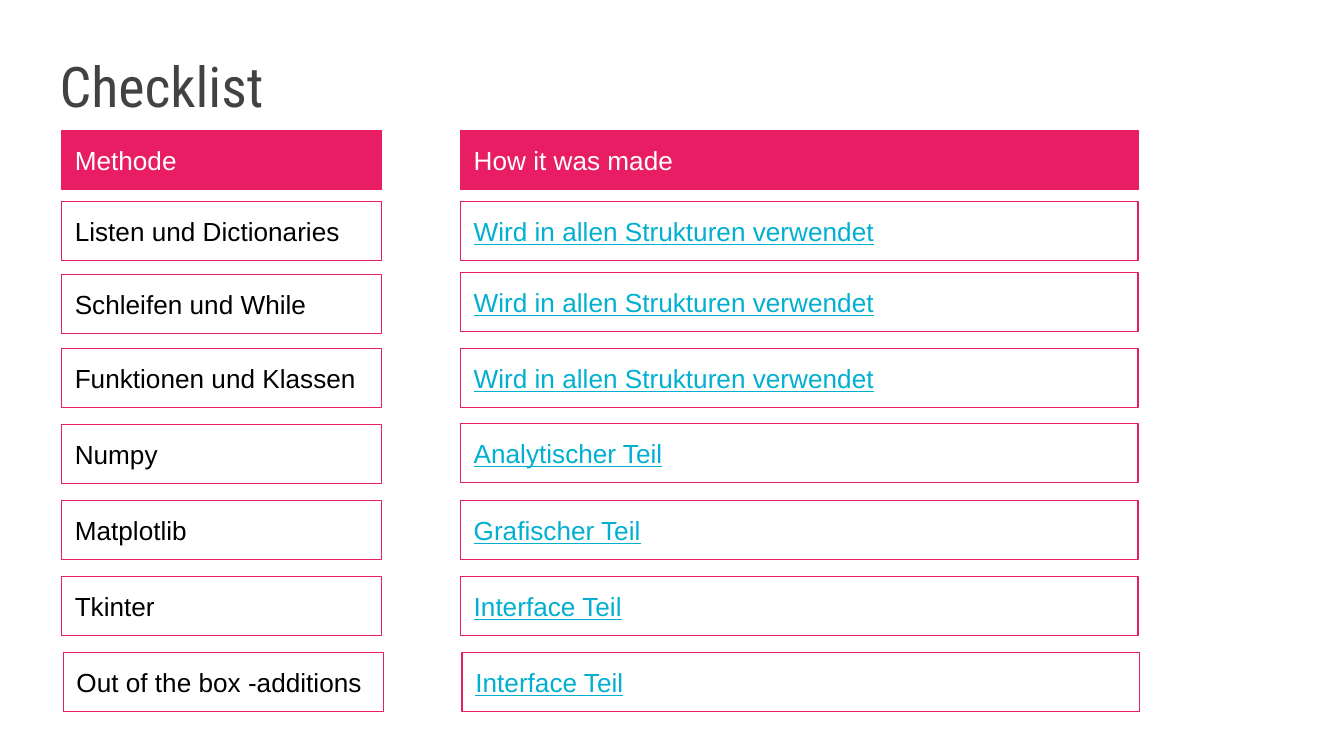
from dataclasses import dataclass

from pptx import Presentation
from pptx.dml.color import RGBColor
from pptx.enum.shapes import MSO_SHAPE
from pptx.enum.text import MSO_ANCHOR, MSO_AUTO_SIZE, PP_ALIGN
from pptx.util import Pt

RECT = MSO_SHAPE.RECTANGLE
MIDDLE, BOTTOM = MSO_ANCHOR.MIDDLE, MSO_ANCHOR.BOTTOM
LEFT = PP_ALIGN.LEFT
NO_FIT = MSO_AUTO_SIZE.NONE

PINK, WHITE, BLACK = "E91D63", "FFFFFF", "000000"
GREY, LINK = "424242", "01AFD1"
BOX_H = 31.7
INSET = 7.2


@dataclass
class Column:
    left: float
    width: float


@dataclass
class Row:
    method: str
    made: str
    top: float
    made_top: float
    shift: float = 0


METHOD = Column(33, 171.5)
MADE = Column(246.7, 363)
HEADER = Row("Methode", "How it was made", 69.9, 69.9)
EVERYWHERE = "Wird in allen Strukturen verwendet"
ROWS = [
    Row("Listen und Dictionaries", EVERYWHERE, 108, 108),
    Row("Schleifen und While", EVERYWHERE, 147, 146),
    Row("Funktionen und Klassen", EVERYWHERE, 186.7, 186.7),
    Row("Numpy", "Analytischer Teil", 227.4, 226.9),
    Row("Matplotlib", "Grafischer Teil", 268.1, 268.1),
    Row("Tkinter", "Interface Teil", 308.8, 308.8),
    Row("Out of the box -additions", "Interface Teil", 349.5, 349.5, 0.9),
]


def rgb(color: str) -> RGBColor:
    return RGBColor.from_string(color)


def write(sp, text: str, font: str, size: float, color: str, anchor,
          underline: bool = False) -> None:
    tf = sp.text_frame
    tf.word_wrap = True
    tf.auto_size = NO_FIT
    tf.vertical_anchor = anchor
    tf.margin_left = tf.margin_right = Pt(INSET)
    tf.margin_top = tf.margin_bottom = Pt(INSET)
    p = tf.paragraphs[0]
    p.alignment = LEFT
    r = p.add_run()
    r.text = text
    r.font.name = font
    r.font.size = Pt(size)
    r.font.color.rgb = rgb(color)
    if underline:
        r.font.underline = True


def add_box(s, col: Column, top: float, text: str, fill: str, color: str,
            shift: float = 0, underline: bool = False) -> None:
    sp = s.shapes.add_shape(RECT, Pt(col.left + shift), Pt(top),
                            Pt(col.width), Pt(BOX_H))
    sp.shadow.inherit = False
    sp.fill.solid()
    sp.fill.fore_color.rgb = rgb(fill)
    sp.line.color.rgb = rgb(PINK)
    sp.line.width = Pt(0.75)
    write(sp, text, "Arial", 14, color, MIDDLE, underline)


def main() -> None:
    prs = Presentation()
    prs.slide_width, prs.slide_height = Pt(720), Pt(405)
    s = prs.slides.add_slide(prs.slide_layouts[5])

    # Title
    title = s.shapes.title
    title.left, title.top = Pt(24.8), Pt(13)
    title.width, title.height = Pt(671), Pt(57.6)
    write(title, "Checklist", "Roboto Condensed", 30, GREY, BOTTOM)

    # Header row
    add_box(s, METHOD, HEADER.top, HEADER.method, PINK, WHITE)
    add_box(s, MADE, HEADER.made_top, HEADER.made, PINK, WHITE)

    # Checklist rows
    for row in ROWS:
        add_box(s, METHOD, row.top, row.method, WHITE, BLACK, row.shift)
        add_box(s, MADE, row.made_top, row.made, WHITE, LINK, row.shift,
                underline=True)

    prs.save("out.pptx")


if __name__ == "__main__":
    main()
